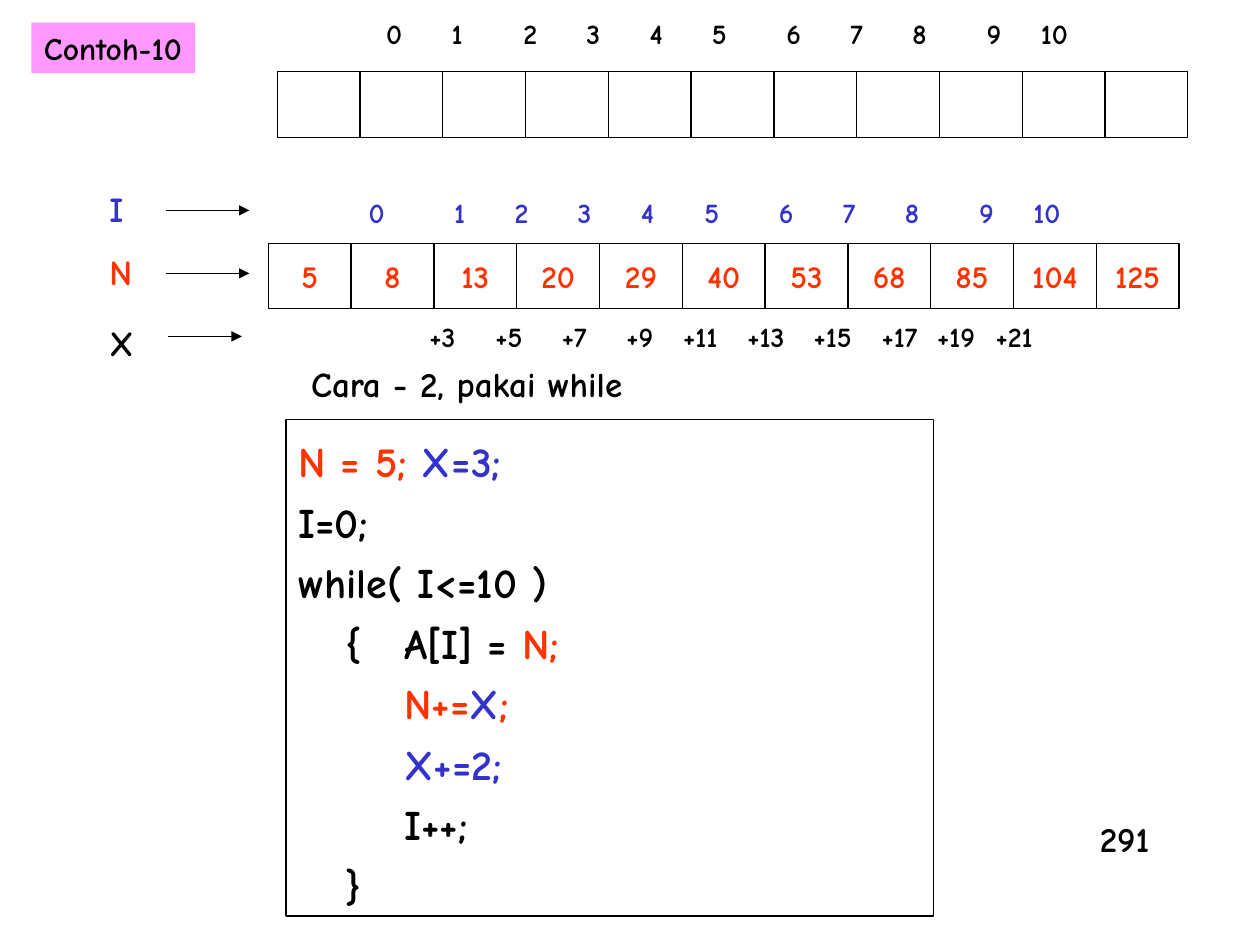
import pptx
import pptx.dml.color
import pptx.enum.shapes
import pptx.enum.text
import pptx.oxml
import pptx.oxml.ns
import pptx.util

RGBColor = pptx.dml.color.RGBColor
BLACK = RGBColor(0x00, 0x00, 0x00)
RED = RGBColor(0xFF, 0x33, 0x00)
BLUE = RGBColor(0x33, 0x33, 0xCC)
PINK = RGBColor(0xFF, 0x99, 0xFF)

FONT = "Comic Neue"
SLIDE_WIDTH = pptx.util.Inches(10)
SLIDE_HEIGHT = pptx.util.Inches(7.5)
COLUMN = SLIDE_WIDTH / 100
ROW = SLIDE_HEIGHT / 75
INSET = 1
CELL_COUNT = 11
CELL_WIDTH = 6.57
CELL_HEIGHT = 5.2

VALUES = [5, 8, 13, 20, 29, 40, 53, 68, 85, 104, 125]
STEPS = [f"+{step}" for step in range(3, 22, 2)]
TOP_INDEX_CENTRES = [31.3, 36.3, 42.1, 47.1, 52.1, 57.1, 63, 68, 73, 78.9, 83.7]
INDEX_CENTRES = [29.9, 36.5, 41.4, 46.4, 51.4, 56.5, 62.4, 67.4, 72.4, 78.3, 83.1]
STEP_CENTRES = [35.1, 40.4, 45.6, 50.8, 55.6, 60.8, 66.1, 71.4, 75.9, 80.5]

CODE_LINES = [
    (0, 0, [("N = 5; ", RED), ("X=3;", BLUE)]),
    (0, 0, [("I=0;", BLACK)]),
    (0, 0, [("while( I<=10 )", BLACK)]),
    (8.4, -4.7, [("{\tA[I] = ", BLACK), ("N;", RED)]),
    (8.4, 0, [("N+=", RED), ("X", BLUE), (";", RED)]),
    (8.4, 0, [("X+=2;", BLUE)]),
    (8.4, 0, [("I++;", BLACK)]),
    (3.7, 0, [("}", BLACK)]),
]


def grid_box(left, top, width, height):
    return round(left * COLUMN), round(top * ROW), round(width * COLUMN), round(height * ROW)


def write_runs(paragraph, runs, size):
    paragraph.font.name = FONT
    paragraph.font.size = pptx.util.Pt(size)
    paragraph.font.bold = True
    for text, color in runs:
        run = paragraph.add_run()
        run.text = text
        run.font.color.rgb = color


def add_label(slide, box, text, size, color, wrap=False):
    shape = slide.shapes.add_textbox(*grid_box(*box))
    shape.text_frame.word_wrap = wrap
    write_runs(shape.text_frame.paragraphs[0], [(text, color)], size)
    return shape


def add_rectangle(slide, box, fill=None, line=BLACK):
    shape = slide.shapes.add_shape(pptx.enum.shapes.MSO_SHAPE.RECTANGLE, *grid_box(*box))
    shape.shadow.inherit = False
    if fill is None:
        shape.fill.background()
    else:
        shape.fill.solid()
        shape.fill.fore_color.rgb = fill
    if line is None:
        shape.line.fill.background()
    else:
        shape.line.color.rgb = line
        shape.line.width = pptx.util.Pt(0.75)
    return shape


def add_cells(slide, left, top, values=()):
    for index in range(CELL_COUNT):
        cell = add_rectangle(slide, (left + index * CELL_WIDTH, top, CELL_WIDTH, CELL_HEIGHT))
        if values:
            cell.text_frame.word_wrap = False
            cell.text_frame.vertical_anchor = pptx.enum.text.MSO_ANCHOR.MIDDLE
            paragraph = cell.text_frame.paragraphs[0]
            paragraph.alignment = pptx.enum.text.PP_ALIGN.CENTER
            write_runs(paragraph, [(str(values[index]), RED)], 18)


def add_tabbed_row(slide, box, entries, centres, color):
    text = "".join(f"\t{entry}" for entry in entries)
    shape = add_label(slide, box, text, 16, color, wrap=True)
    properties = shape.text_frame.paragraphs[0].font._element.getparent()
    tab_list = pptx.oxml.parse_xml(f"<a:tabLst {pptx.oxml.ns.nsdecls('a')}/>")
    for centre in centres:
        tab = pptx.oxml.parse_xml(f"<a:tab {pptx.oxml.ns.nsdecls('a')}/>")
        tab.set("pos", str(round((centre - box[0] - INSET) * COLUMN)))
        tab.set("algn", "ctr")
        tab_list.append(tab)
    properties.insert(0, tab_list)


def add_arrow(slide, left, right, height):
    start_x, y, end_x, _ = grid_box(left, height, right, 0)
    arrow = slide.shapes.add_connector(
        pptx.enum.shapes.MSO_CONNECTOR.STRAIGHT, start_x, y, end_x, y)
    arrow.line.color.rgb = BLACK
    arrow.line.width = pptx.util.Pt(0.75)
    properties = arrow._element.spPr
    namespace = pptx.oxml.ns.nsdecls("a")
    properties.find(pptx.oxml.ns.qn("a:ln")).append(
        pptx.oxml.parse_xml(f'<a:tailEnd {namespace} type="triangle"/>'))
    properties.append(pptx.oxml.parse_xml(f"<a:effectLst {namespace}/>"))


def add_code(slide, box):
    frame = add_rectangle(slide, box).text_frame
    frame.word_wrap = True
    frame.vertical_anchor = pptx.enum.text.MSO_ANCHOR.TOP
    for index, (margin, indent, runs) in enumerate(CODE_LINES):
        paragraph = frame.add_paragraph() if index else frame.paragraphs[0]
        paragraph.alignment = pptx.enum.text.PP_ALIGN.LEFT
        paragraph.line_spacing = 1.2
        write_runs(paragraph, runs, 24)
        properties = paragraph.font._element.getparent()
        properties.set("marL", str(round(margin * COLUMN)))
        properties.set("indent", str(round(indent * COLUMN)))


def add_title(slide, box, text):
    frame = add_rectangle(slide, box, PINK, None).text_frame
    frame.word_wrap = False
    frame.vertical_anchor = pptx.enum.text.MSO_ANCHOR.TOP
    frame.paragraphs[0].alignment = pptx.enum.text.PP_ALIGN.LEFT
    write_runs(frame.paragraphs[0], [(text, BLACK)], 18)


def main():
    presentation = pptx.Presentation()
    presentation.slide_width = SLIDE_WIDTH
    presentation.slide_height = SLIDE_HEIGHT
    slide = presentation.slides.add_slide(presentation.slide_layouts[6])

    add_cells(slide, 21.3, 19.3, VALUES)
    add_tabbed_row(slide, (25.9, 15, 60.1, 3.7), range(CELL_COUNT), INDEX_CENTRES, BLUE)
    add_cells(slide, 22, 5.7)
    add_tabbed_row(slide, (26.6, 0.8, 60.1, 3.7), range(CELL_COUNT), TOP_INDEX_CENTRES, BLACK)
    add_arrow(slide, 13.2, 19.8, 16.7)
    add_arrow(slide, 13.2, 19.8, 21.7)
    add_label(slide, (7.7, 14.4, 3.1, 4.4), "I", 20, BLUE)
    add_label(slide, (7.7, 19.4, 3.8, 4.4), "N", 20, RED)
    add_title(slide, (2.5, 1.8, 13, 4), "Contoh-10")
    add_label(slide, (86.3, 64.4, 5.9, 4.4), "291", 20, BLACK)
    add_tabbed_row(slide, (33.1, 24.9, 51.5, 3.7), STEPS, STEP_CENTRES, BLACK)
    add_label(slide, (23.7, 28.3, 26.8, 4.4), "Cara - 2, pakai while", 20, BLACK)
    add_code(slide, (22.7, 33.3, 51.4, 39.4))
    add_label(slide, (7.7, 25, 3.8, 4.4), "X", 20, BLACK)
    add_arrow(slide, 13.3, 19.2, 26.7)

    presentation.save("out.pptx")


if __name__ == "__main__":
    main()
